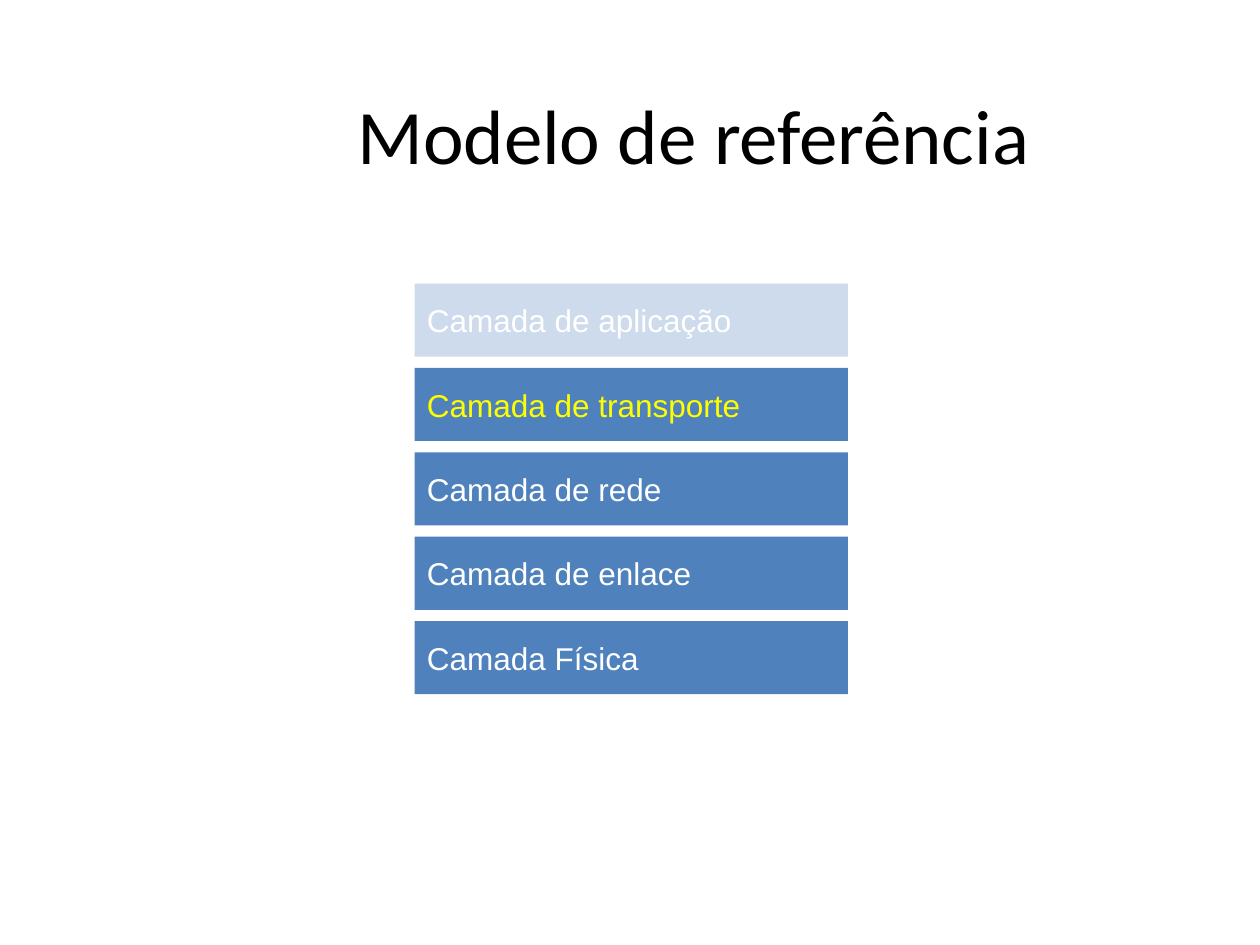
from lxml import etree
from pptx import Presentation
from pptx.dml.color import RGBColor
from pptx.enum.shapes import MSO_SHAPE
from pptx.enum.text import MSO_ANCHOR, PP_ALIGN
from pptx.oxml.ns import qn
from pptx.util import Inches, Pt

RECTANGLE = MSO_SHAPE.RECTANGLE
MIDDLE = MSO_ANCHOR.MIDDLE
LEFT, CENTER = PP_ALIGN.LEFT, PP_ALIGN.CENTER

BLUE, WHITE, YELLOW, BLACK = "4F81BD", "FFFFFF", "FFFF00", "000000"
LAYERS = [  # text, text colour, fill opacity in percent
    ("Camada de aplicação", WHITE, 28),
    ("Camada de transporte", YELLOW, 100),
    ("Camada de rede", WHITE, 100),
    ("Camada de enlace", WHITE, 100),
    ("Camada Física", WHITE, 100),
]
LAYER_TOP, LAYER_PITCH = 2.25, 0.67


def format_paragraph(paragraph, font_name, size, color, alignment):
    paragraph.alignment = alignment
    paragraph.font.name = font_name
    paragraph.font.size = Pt(size)
    paragraph.font.color.rgb = RGBColor.from_string(color)


presentation = Presentation()
presentation.slide_width = Inches(10)
presentation.slide_height = Inches(7.5)
slide = presentation.slides.add_slide(presentation.slide_layouts[5])

title = slide.shapes.title
title.left, title.top = Inches(1.17), Inches(0.25)
title.width, title.height = Inches(8.67), Inches(1.33)
title.text_frame.text = "Modelo de referência"
title.text_frame.vertical_anchor = MIDDLE
title_paragraph = title.text_frame.paragraphs[0]
title_paragraph.line_spacing = 1.4
format_paragraph(title_paragraph, "Calibri", 44, BLACK, CENTER)

for index, (text, text_color, opacity) in enumerate(LAYERS):
    top = LAYER_TOP + index * LAYER_PITCH
    layer = slide.shapes.add_shape(
        RECTANGLE, Inches(3.29), Inches(top), Inches(3.44), Inches(0.58))
    layer.shadow.inherit = False
    layer.line.fill.background()
    layer.fill.solid()
    layer.fill.fore_color.rgb = RGBColor.from_string(BLUE)
    if opacity < 100:
        fill_color = layer.fill._xPr.find(".//" + qn("a:srgbClr"))
        etree.SubElement(fill_color, qn("a:alpha"), val=str(opacity * 1000))
    layer.text_frame.text = text
    layer.text_frame.word_wrap = True
    layer.text_frame.vertical_anchor = MIDDLE
    format_paragraph(layer.text_frame.paragraphs[0], "Arial", 18, text_color, LEFT)

presentation.save("out.pptx")
